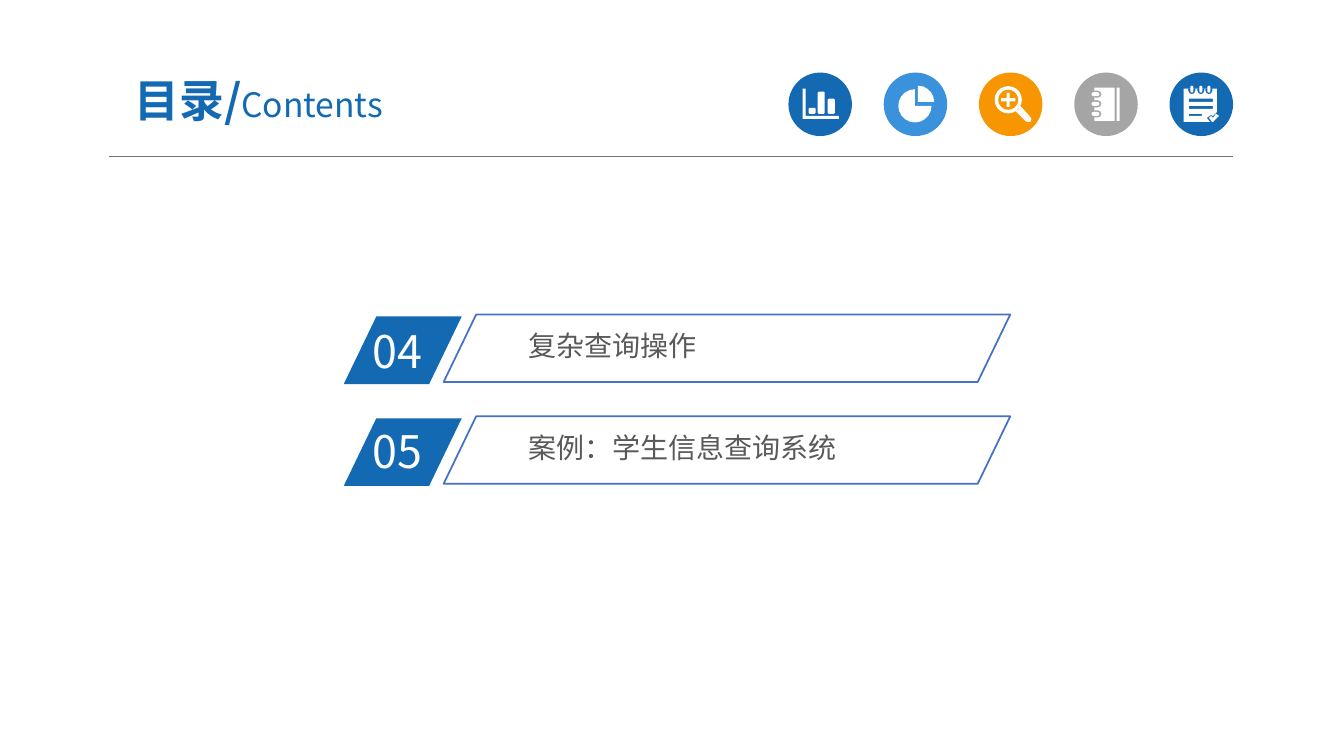
from math import cos, radians, sin

from lxml import etree
from pptx import Presentation
from pptx.dml.color import RGBColor
from pptx.enum.shapes import MSO_CONNECTOR, MSO_SHAPE
from pptx.enum.text import MSO_ANCHOR as Anchor, PP_ALIGN as Align
from pptx.oxml.ns import qn
from pptx.util import Inches, Pt

FONT = "Noto Sans CJK SC"
BLUE, LIGHT_BLUE, ORANGE, GREY = "1369B2", "3992DB", "F79600", "A5A5A5"
WHITE, TEXT_GREY, RULE_GREY, OUTLINE = "FFFFFF", "595959", "757575", "4472C4"

ICON_LEFT, ICON_TOP, ICON_SIZE, ICON_STEP = 7.82, 0.72, 0.63, 0.945
ITEM_TOP, ITEM_STEP = 3.12, 1.01
# number, top of the number, title
ITEMS = [("04", 3.16, "复杂查询操作"), ("05", 4.15, "案例：学生信息查询系统")]


def rgb(value):
    return RGBColor.from_string(value)


# Outlines, in inches from the corner of the icon's disc
def arc(x, y, radius, start=0, end=360):
    # Small corners need fewer points than large circles
    steps = (end - start) // (18 if radius > 0.05 else 45)
    angles = [radians(start + (end - start) * i / steps) for i in range(steps + 1)]
    return [(x + radius * cos(a), y + radius * sin(a)) for a in angles]


def box_outline(left, top, width, height):
    right, bottom = left + width, top + height
    return [(left, top), (right, top), (right, bottom), (left, bottom)]


def pill(left, top, width, height):
    radius = min(width, height) / 2
    right, bottom = left + width - radius, top + height - radius
    if width > height:
        return (arc(left + radius, bottom, radius, 90, 270)
                + arc(right, bottom, radius, -90, 90))
    return (arc(right, top + radius, radius, 180, 360)
            + arc(right, bottom, radius, 0, 180))


def bar_chart_icon():
    axes = [(0.14, 0.16), (0.17, 0.16), (0.17, 0.43), (0.5, 0.43), (0.5, 0.46), (0.14, 0.46)]
    outlines = [axes]
    for x, top in [(0.2, 0.35), (0.29, 0.19), (0.39, 0.26)]:
        right, bottom, cut = x + 0.07, 0.41, 0.01
        outlines.append([(x + cut, top), (right - cut, top), (right, top + cut),
                         (right, bottom - cut), (right - cut, bottom), (x + cut, bottom),
                         (x, bottom - cut), (x, top + cut)])
    return outlines


def pie_icon():
    return [[(0.34, 0.29)] + arc(0.34, 0.29, 0.16, -90, 0),
            [(0.31, 0.33)] + arc(0.31, 0.33, 0.165, 0, 270)]


def magnifier_icon():
    x, y, long, thin = 0.29, 0.27, 0.07, 0.015
    plus = [(x - thin, y - long), (x + thin, y - long), (x + thin, y - thin),
            (x + long, y - thin), (x + long, y + thin), (x + thin, y + thin),
            (x + thin, y + long), (x - thin, y + long), (x - thin, y + thin),
            (x - long, y + thin), (x - long, y - thin), (x - thin, y - thin)]
    handle = [(0.41, 0.33), (0.5, 0.43), (0.52, 0.46), (0.51, 0.49), (0.48, 0.49),
              (0.46, 0.48), (0.36, 0.38), (0.39, 0.37)]
    return [arc(x, y, 0.135), arc(x, y, 0.1), plus, handle]


def notebook_icon():
    outlines = [box_outline(0.42, 0.15, 0.03, 0.33), box_outline(0.2, 0.15, 0.2, 0.33)]
    for y in (0.215, 0.31, 0.41):
        notch = [(0.2, y - 0.035)] + arc(0.235, y, 0.035, -90, 90) + [(0.2, y + 0.035)]
        outlines += [notch, pill(0.17, y - 0.02, 0.08, 0.04)]
    return outlines


def notepad_icon():
    sheet = [(0.14, 0.16), (0.47, 0.16), (0.47, 0.39), (0.43, 0.43), (0.41, 0.42),
             (0.37, 0.45), (0.4, 0.49), (0.14, 0.49)]
    tick = [(0.39, 0.45), (0.41, 0.43), (0.43, 0.45), (0.46, 0.41), (0.49, 0.43),
            (0.43, 0.49), (0.42, 0.49)]
    outlines = [sheet, tick]
    for width, top, height in [(0.24, 0.26, 0.03), (0.24, 0.33, 0.03), (0.13, 0.41, 0.02)]:
        outlines.append(box_outline(0.19, top, width, height))
    for x in (0.22, 0.31, 0.39):
        notch = [(x - 0.035, 0.16), (x + 0.035, 0.16)] + arc(x, 0.18, 0.035, 0, 180)
        outlines += [notch, pill(x - 0.015, 0.13, 0.03, 0.07)]
    return outlines


# Elements
def paint(shape, fill=None, line=None, width=1.25):
    shape.shadow.inherit = False
    if fill:
        shape.fill.solid()
        shape.fill.fore_color.rgb = rgb(fill)
    else:
        shape.fill.background()
    if line:
        shape.line.color.rgb = rgb(line)
        shape.line.width = Pt(width)
    else:
        shape.line.fill.background()


def add_preset(slide, kind, left, top, width, height, **style):
    shape = slide.shapes.add_shape(kind, Inches(left), Inches(top), Inches(width), Inches(height))
    paint(shape, **style)
    return shape


def add_parallelogram(slide, left, top, width, **style):
    shape = add_preset(slide, MSO_SHAPE.PARALLELOGRAM, left, top, width, 0.67, **style)
    shape.adjustments[0] = 0.482


def add_icon(slide, left, color, outlines):
    add_preset(slide, MSO_SHAPE.OVAL, left, ICON_TOP, ICON_SIZE, ICON_SIZE, fill=color)
    contours = [[(Inches(x), Inches(y)) for x, y in outline] for outline in outlines]
    builder = slide.shapes.build_freeform(*contours[0][0])
    for i, points in enumerate(contours):
        if i:
            builder.move_to(*points[0])
        builder.add_line_segments(points[1:], close=True)
    paint(builder.convert_to_shape(Inches(left), Inches(ICON_TOP)), fill=WHITE)


def add_rule(slide, left, right, y):
    rule = slide.shapes.add_connector(
        MSO_CONNECTOR.STRAIGHT, Inches(left), Inches(y), Inches(right), Inches(y))
    rule.line.color.rgb = rgb(RULE_GREY)
    rule.line.width = Pt(0.5)
    etree.SubElement(rule._element.spPr, qn("a:effectLst"))


def add_text(slide, left, top, width, height, spans, color, margins=(0.1, 0.05),
             align=Align.LEFT, anchor=Anchor.TOP):
    box = slide.shapes.add_textbox(Inches(left), Inches(top), Inches(width), Inches(height))
    frame = box.text_frame
    frame.word_wrap = True
    frame.vertical_anchor = anchor
    frame.margin_left = frame.margin_right = Inches(margins[0])
    frame.margin_top = frame.margin_bottom = Inches(margins[1])
    para = frame.paragraphs[0]
    para.alignment = align
    para.font.name = FONT
    para.font.color.rgb = rgb(color)
    for text, size, bold in spans:
        span = para.add_run()
        span.text = text
        span.font.size = Pt(size)
        span.font.bold = bold
        # East Asian typeface
        etree.SubElement(span.font._element, qn("a:ea"), typeface=FONT)


def add_item(slide, top, number, number_top, title):
    add_parallelogram(slide, 3.41, top + 0.02, 1.17, fill=BLUE)
    add_text(slide, 3.6, number_top, 1.12, 0.64, [(number, 32, False)], WHITE)
    add_text(slide, 5.17, top + 0.1, 4.12, 0.41, [(title, 20, False)], TEXT_GREY,
             margins=(0.07, 0.04))
    add_parallelogram(slide, 4.4, top, 5.62, line=OUTLINE)


def main():
    deck = Presentation()
    deck.slide_width, deck.slide_height = Inches(13.33), Inches(7.5)
    page = deck.slides.add_slide(deck.slide_layouts[6])

    # Header
    add_rule(page, 1.08, 12.23, 1.55)
    icons = [(BLUE, bar_chart_icon), (LIGHT_BLUE, pie_icon), (ORANGE, magnifier_icon),
             (GREY, notebook_icon), (BLUE, notepad_icon)]
    for i, (color, outlines) in enumerate(icons):
        add_icon(page, ICON_LEFT + i * ICON_STEP, color, outlines())
    add_text(page, 0.92, 0.63, 3.29, 0.72, [("目录/", 32, True), ("Contents", 24, False)], BLUE,
             margins=(0.13, 0.07), align=Align.CENTER, anchor=Anchor.MIDDLE)

    # Contents list
    for i, item in enumerate(ITEMS):
        add_item(page, ITEM_TOP + i * ITEM_STEP, *item)

    deck.save("out.pptx")


if __name__ == "__main__":
    main()
